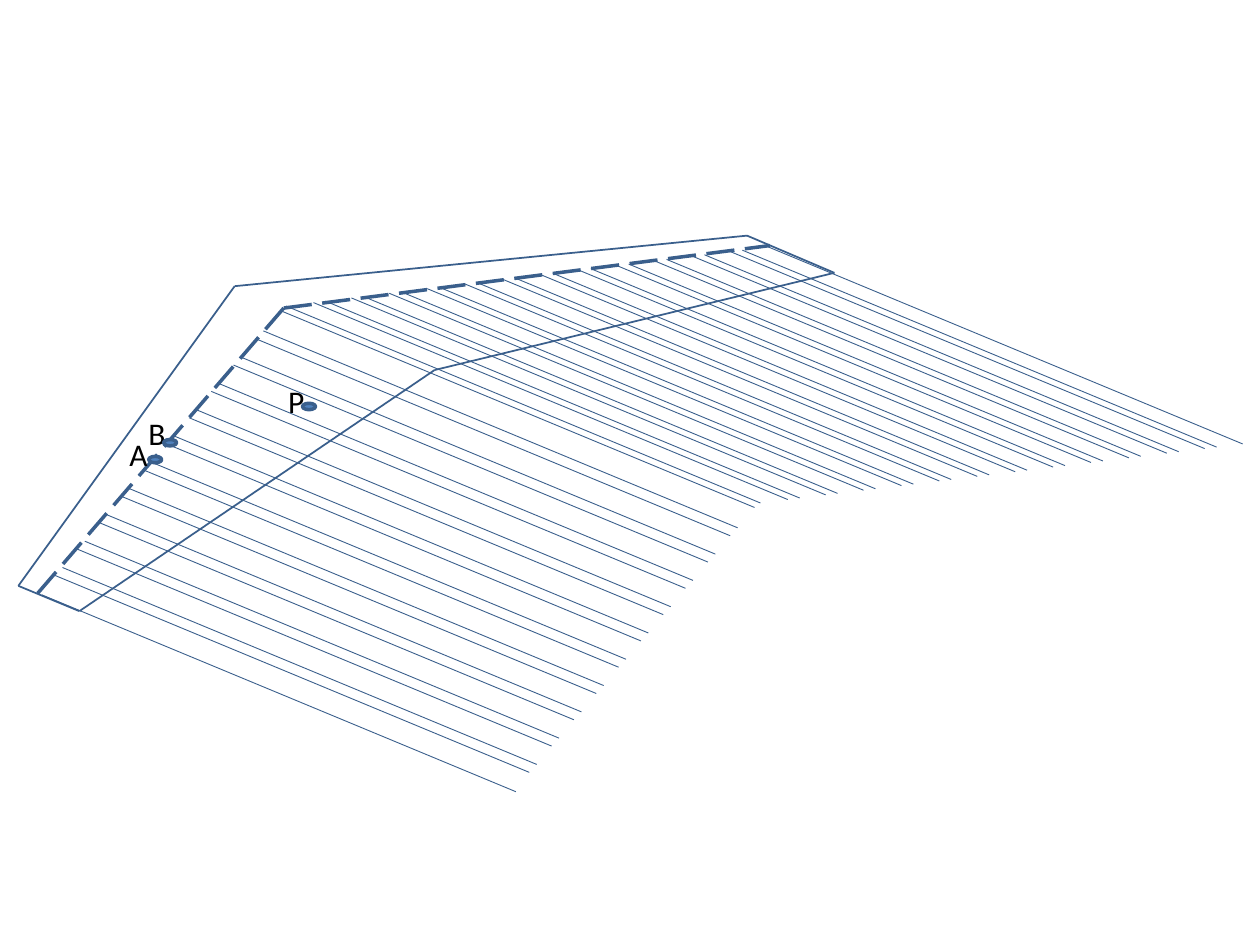
"""Build a slide of a bent panel with parallel rays leaving its dashed axis."""
from lxml.etree import SubElement
from pptx import Presentation
from pptx.dml.color import RGBColor
from pptx.enum.dml import MSO_LINE
from pptx.enum.shapes import MSO_CONNECTOR, MSO_SHAPE
from pptx.enum.text import MSO_AUTO_SIZE
from pptx.oxml.ns import qn
from pptx.util import Cm, Pt

COLORS = {"line": "3A5F8C", "point": "4F81BD", "text": "000000"}
RAY = (9.56, 3.97)
AXIS = [(0.76, 11.96), (5.72, 6.21), (15.52, 4.95)]
OUTLINE = [(0.37, 11.81), (4.73, 5.77), (15.06, 4.75),
           (16.82, 5.5), (8.76, 7.46), (1.6, 12.32)]
POINTS = [("A", (2.36, 8.64), (3, 9.2)),
          ("B", (2.74, 8.23), (3.3, 8.86)),
          ("P", (5.56, 7.57), (6.1, 8.13))]


class Diagram:
    def __init__(self, slide, font="Calibri", size=18):
        self.shapes = slide.shapes
        self.font, self.size = font, size

    def color(self, name):
        return RGBColor.from_string(COLORS[name])

    def line(self, start, end, width, dash=None):
        ends = [Cm(v) for v in (*start, *end)]
        sp = self.shapes.add_connector(MSO_CONNECTOR.STRAIGHT, *ends)
        sp.line.color.rgb = self.color("line")
        sp.line.width = Pt(width)
        if dash:
            sp.line.dash_style = dash
        SubElement(sp.element.spPr, qn("a:effectLst"))

    def ray(self, x, y):
        self.line((x, y), (x + RAY[0], y + RAY[1]), 0.5)

    def label(self, text, x, y):
        sp = self.shapes.add_textbox(Cm(x), Cm(y), Cm(0.88), Cm(1.02))
        tf = sp.text_frame
        tf.word_wrap = False
        tf.auto_size = MSO_AUTO_SIZE.SHAPE_TO_FIT_TEXT
        p = tf.paragraphs[0]
        p.text = text
        p.font.name, p.font.size = self.font, Pt(self.size)
        p.font.color.rgb = self.color("text")

    def dot(self, x, y):
        sp = self.shapes.add_shape(MSO_SHAPE.OVAL, Cm(x), Cm(y), Cm(0.26), Cm(0.13))
        sp.shadow.inherit = False
        sp.fill.solid()
        sp.fill.fore_color.rgb = self.color("point")
        sp.line.color.rgb = self.color("line")
        sp.line.width = Pt(2)


def main():
    prs = Presentation()
    prs.slide_width, prs.slide_height = Cm(25.4), Cm(19.05)
    diagram = Diagram(prs.slides.add_slide(prs.slide_layouts[6]))

    diagram.line(AXIS[1], AXIS[2], 2, MSO_LINE.LONG_DASH)
    diagram.line(AXIS[0], AXIS[1], 2, MSO_LINE.LONG_DASH)

    for i in range(13):
        x, y = 6.32 + 9.17 * i / 12, 6.1 - 1.12 * i / 12
        diagram.ray(x, y)
        if i < 12:
            diagram.ray(x + 0.24, y - 0.03)
    for i in range(10):
        x, y = 5.31 - 0.45 * i, 6.67 + 0.53 * i
        diagram.ray(x, y)
        diagram.ray(x - 0.15, y + 0.16)
    for x, y in [(5.77, 6.17), (5.65, 6.26), (0.84, 11.99)]:
        diagram.ray(x, y)

    for start, end in zip(OUTLINE, OUTLINE[1:] + OUTLINE[:1]):
        diagram.line(start, end, 1)

    for text, label_at, dot_at in POINTS:
        diagram.label(text, *label_at)
        diagram.dot(*dot_at)

    prs.save("out.pptx")


if __name__ == "__main__":
    main()
